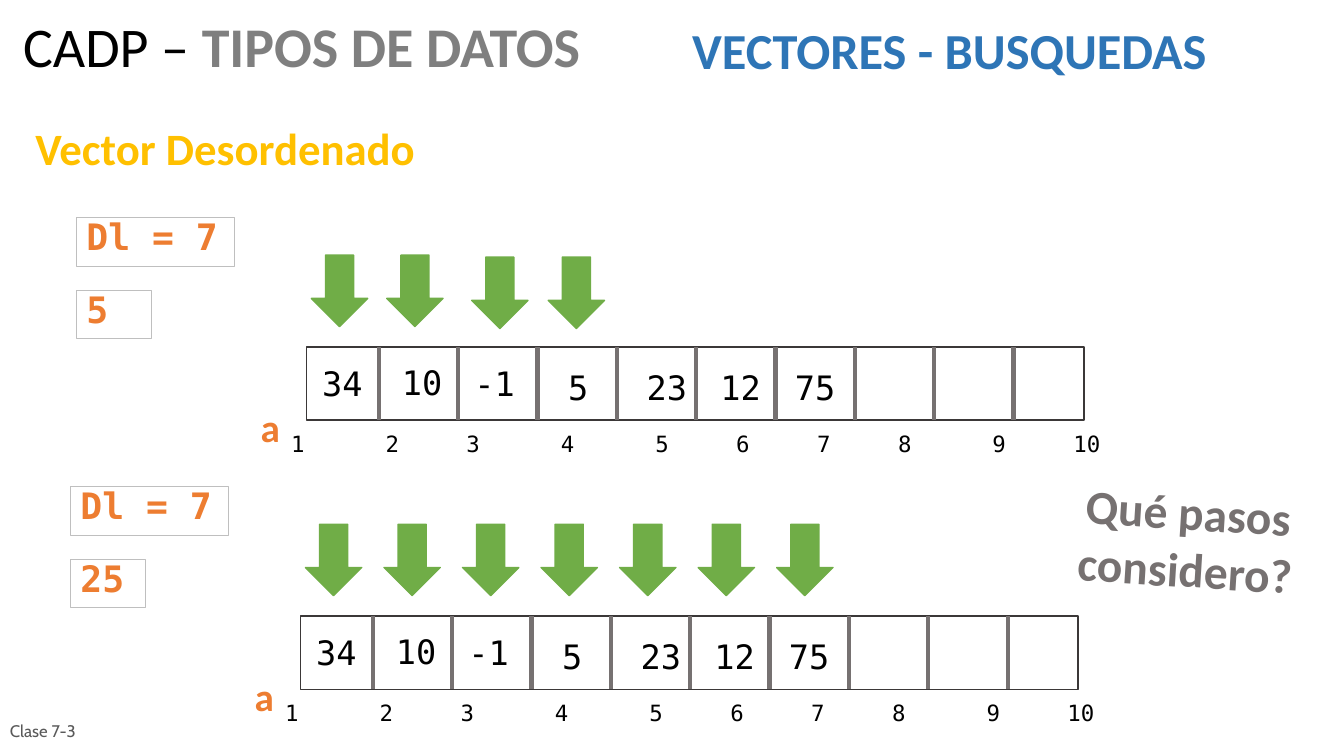
from lxml import etree
from pptx import Presentation
from pptx.dml.color import RGBColor
from pptx.enum.shapes import MSO_CONNECTOR, MSO_SHAPE
from pptx.enum.text import MSO_ANCHOR, MSO_AUTO_SIZE, PP_ALIGN
from pptx.oxml.ns import qn
from pptx.util import Cm, Pt

RECT, DOWN_ARROW = MSO_SHAPE.RECTANGLE, MSO_SHAPE.DOWN_ARROW
STRAIGHT = MSO_CONNECTOR.STRAIGHT
TOP, MIDDLE = MSO_ANCHOR.TOP, MSO_ANCHOR.MIDDLE
LEFT, CENTER = PP_ALIGN.LEFT, PP_ALIGN.CENTER
NO_FIT = MSO_AUTO_SIZE.NONE

SANS, MONO, FOOTER = "Calibri", "DejaVu Sans Mono", "Cabin"
BLACK, GRAY, DARK, MID = "000000", "7F7F7F", "3B3838", "767171"
BLUE, GOLD, ORANGE, GREEN = "2E75B6", "FFC000", "ED7D31", "70AD47"
SILVER, FOOT_GRAY = "BFBFBF", "595959"

CELLS = [("34", 7.87, 9.02), ("10", 9.88, 8.99), ("-1", 11.71, 9.02),
         ("5", 14.07, 9.12), ("23", 16.05, 9.12), ("12", 17.91, 9.12),
         ("75", 19.79, 9.12)]
INDEX_COLUMNS = [7, 13, 20, 27, 33, 39, 45, 52, 58]
CHAR_WIDTH = 0.34
FIRST_ARROWS = [(7.85, 6.43), (9.75, 6.43), (11.89, 6.48), (13.82, 6.48)]
SECOND_ARROWS = [(7.7 + 1.98 * i, 13.21) for i in range(7)]


def rgb(value):
    return RGBColor.from_string(value)


class SlideBuilder:
    def __init__(self, prs):
        self.s = prs.slides.add_slide(prs.slide_layouts[5])

    def fill_text(self, sp, runs, align=LEFT, anchor=TOP, wrap=True,
                  spacing=None, before=0):
        tf = sp.text_frame
        tf.word_wrap = wrap
        tf.auto_size = NO_FIT
        tf.vertical_anchor = anchor
        p = tf.paragraphs[0]
        p.alignment = align
        p.space_before = Pt(before)
        if spacing:
            p.line_spacing = spacing
        for text, size, font, color, bold in runs:
            r = p.add_run()
            r.text = text
            r.font.size = Pt(size)
            r.font.name = font
            r.font.bold = bold
            r.font.color.rgb = rgb(color)
        return p

    def title(self, x, y, w, h, runs):
        sp = self.s.shapes.title
        sp.left, sp.top, sp.width, sp.height = Cm(x), Cm(y), Cm(w), Cm(h)
        self.fill_text(sp, runs, spacing=0.9)

    def text(self, x, y, w, h, text, size, font, color, bold=False,
             rotation=0, **layout):
        sp = self.s.shapes.add_textbox(Cm(x), Cm(y), Cm(w), Cm(h))
        sp.rotation = rotation
        return self.fill_text(sp, [(text, size, font, color, bold)], **layout)

    def shape(self, kind, x, y, w, h, line, width, fill=None):
        sp = self.s.shapes.add_shape(kind, Cm(x), Cm(y), Cm(w), Cm(h))
        sp.shadow.inherit = False
        sp.line.color.rgb = rgb(line)
        sp.line.width = Pt(width)
        if fill:
            sp.fill.solid()
            sp.fill.fore_color.rgb = rgb(fill)
        else:
            sp.fill.background()
        return sp

    def variable(self, x, y, w, text):
        sp = self.shape(RECT, x, y, w, 1.22, SILVER, 0.75)
        self.fill_text(sp, [(text, 26, MONO, ORANGE, True)], spacing=0.8, before=7.5)

    def divider(self, x, y, h):
        c = self.s.shapes.add_connector(STRAIGHT, Cm(x), Cm(y), Cm(x), Cm(y + h))
        c.line.color.rgb = rgb(MID)
        c.line.width = Pt(3)
        etree.SubElement(c._element.spPr, qn("a:effectLst"))

    def indices(self, x, y):
        labels = "\t".join(str(i) for i in range(1, 11))
        p = self.text(x, y, 21.18, 0.94, labels, 16, MONO, BLACK)
        tabs = etree.SubElement(p._p.get_or_add_pPr(), qn("a:tabLst"))
        for column in INDEX_COLUMNS:
            etree.SubElement(tabs, qn("a:tab"),
                             pos=str(Cm(column * CHAR_WIDTH)), algn="l")

    def vector(self, dx, dy, target, arrows):
        self.variable(1.93 + dx, 5.49 + dy, 3.99, "Dl = 7")
        self.variable(1.93 + dx, 7.32 + dy, 1.88, target)
        self.text(6.32 + dx, 10.03 + dy, 1.37, 1.45, "a", 28, SANS, ORANGE, True)
        self.shape(RECT, 7.72 + dx, 8.74 + dy, 19.61, 1.85, DARK, 1)
        for i in range(9):
            self.divider(9.55 + 2 * i + dx, 8.74 + dy, 1.85)
        for value, x, y in CELLS:
            width = 0.51 + 0.51 * len(value)
            self.text(x + dx, y + dy, width, 1.27, value, 24, MONO, BLACK, wrap=False)
        self.indices(7.09 + dx, 10.72 + dy)
        for x, y in arrows:
            self.shape(DOWN_ARROW, x, y, 1.42, 1.8, GREEN, 1, GREEN)


def main():
    prs = Presentation()
    prs.slide_width, prs.slide_height = Cm(33.88), Cm(19.05)
    b = SlideBuilder(prs)
    b.title(0.33, 0.36, 17.2, 1.93, [("CADP – ", 40, SANS, BLACK, False),
                                     ("TIPOS DE DATOS", 40, SANS, GRAY, True)])
    b.text(17.2, 0.36, 13.72, 1.78, "VECTORES - BUSQUEDAS", 36, SANS, BLUE, True)
    b.text(0, 17.91, 5.92, 1.02, "Clase 7-3", 12, FOOTER, FOOT_GRAY, anchor=MIDDLE)
    b.text(0.64, 2.92, 14.2, 1.63, "Vector Desordenado", 32, SANS, GOLD, True)
    b.vector(0, 0, "5", FIRST_ARROWS)
    b.vector(-0.15, 6.78, "25", SECOND_ARROWS)
    b.text(25.65, 12.04, 8.53, 3.15, "Qué pasos considero?", 34, SANS, MID, True,
           rotation=3.6, align=CENTER, before=21.3)
    prs.save("out.pptx")


if __name__ == "__main__":
    main()
